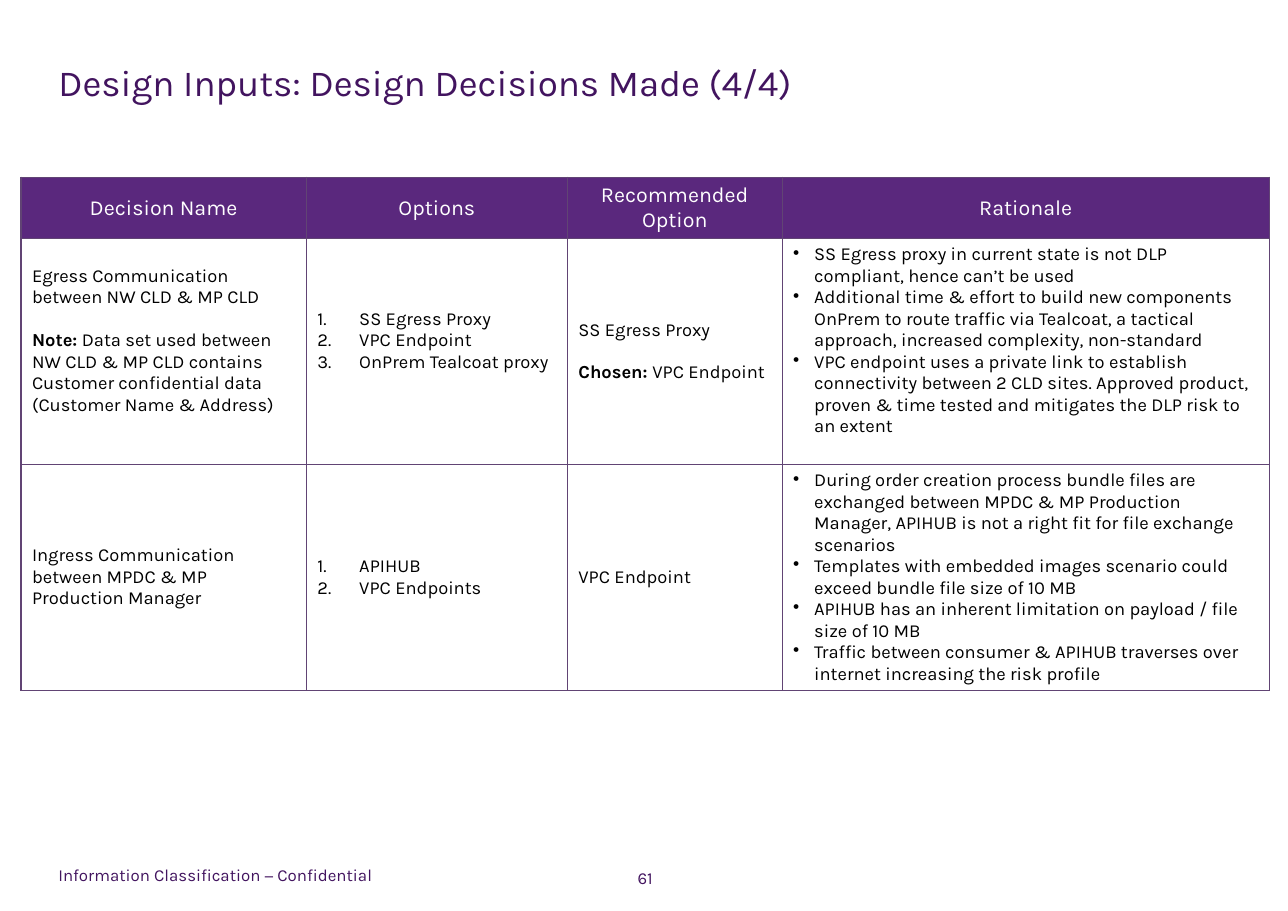
"""Build the design decisions slide with its table, footer and page number."""
from lxml import etree
from pptx import Presentation, util as u
from pptx.dml import color
from pptx.enum import text
from pptx.oxml import ns

COLORS = {"ink": "42145F", "head": "5A287D", "line": "614474",
          "body": "000000", "paper": "FFFFFF"}
MARKS = {"number": ("a:buAutoNum", "type", "arabicPeriod", 0.38),
         "bullet": ("a:buChar", "char", "•", 0.19)}
LEFT, CENTER = text.PP_ALIGN.LEFT, text.PP_ALIGN.CENTER
LINE = 14


class Deck:
    """Hold the style and the current slide; lengths are percent of the slide."""

    def __init__(self, width, height, font):
        self.prs = Presentation()
        self.prs.slide_width, self.prs.slide_height = u.Inches(width), u.Inches(height)
        self.font = font
        self.s = self.prs.slides.add_slide(self.prs.slide_layouts[5])

    def x(self, share):
        return round(self.prs.slide_width * share / 100)

    def y(self, share):
        return round(self.prs.slide_height * share / 100)

    def box(self, x, y, w, h):
        return self.x(x), self.y(y), self.x(w), self.y(h)

    def run(self, p, words, size, ink, bold=False):
        r = p.add_run()
        r.text = words
        r.font.name, r.font.size, r.font.bold = self.font, u.Pt(size), bold
        r.font.color.rgb = color.RGBColor.from_string(COLORS[ink])

    def frame(self, sp, words, size, anchor, align=LEFT, wrap=False):
        tf = sp.text_frame
        tf.margin_left = tf.margin_right = tf.margin_top = tf.margin_bottom = 0
        tf.auto_size = text.MSO_AUTO_SIZE.NONE
        tf.word_wrap, tf.vertical_anchor = wrap, anchor
        tf.paragraphs[0].alignment = align
        self.run(tf.paragraphs[0], words, size, "ink")

    def title(self, words, *place):
        sp = self.s.shapes.title
        sp.left, sp.top, sp.width, sp.height = self.box(*place)
        self.frame(sp, words, 24, text.MSO_ANCHOR.TOP)

    def label(self, words, *place, **layout):
        sp = self.s.shapes.add_textbox(*self.box(*place))
        self.frame(sp, words, 11, text.MSO_ANCHOR.MIDDLE, **layout)

    def mark(self, p, kind):
        tag, key, value, indent = MARKS[kind]
        pPr = p._p.get_or_add_pPr()
        pPr.set("marL", str(u.Inches(indent)))
        pPr.set("indent", str(-u.Inches(indent)))
        etree.SubElement(pPr, ns.qn(tag)).set(key, value)

    def borders(self, cell):
        tcPr = cell._tc.get_or_add_tcPr()
        for side in "LRTB":
            ln = etree.SubElement(tcPr, ns.qn(f"a:ln{side}"), w=str(u.Pt(1)))
            fill = etree.SubElement(ln, ns.qn("a:solidFill"))
            etree.SubElement(fill, ns.qn("a:srgbClr"), val=COLORS["line"])

    def cell(self, cell, paragraphs, kind=None, header=False, lift=0):
        self.borders(cell)
        cell.fill.solid()
        cell.fill.fore_color.rgb = color.RGBColor.from_string(
            COLORS["head" if header else "paper"])
        cell.vertical_anchor = text.MSO_ANCHOR.MIDDLE
        cell.margin_bottom = u.Inches(0.05) + u.Pt(lift)
        tf = cell.text_frame
        for i, runs in enumerate(paragraphs):
            p = tf.add_paragraph() if i else tf.paragraphs[0]
            p.alignment = CENTER if header else LEFT
            if kind:
                self.mark(p, kind)
            elif i:
                p.space_before = u.Pt(LINE)
            for words, bold in runs:
                self.run(p, words, 14 if header else 12,
                         "paper" if header else "body", bold)

    def table(self, x, y, cols, rows, content):
        place = self.box(x, y, sum(cols), sum(rows))
        t = self.s.shapes.add_table(len(rows), len(cols), *place).table
        t.first_row = t.horz_banding = False
        for col, w in zip(t.columns, cols):
            col.width = self.x(w)
        for i, (row, h) in enumerate(zip(t.rows, rows)):
            row.height = self.y(h)
            for cell, entry in zip(row.cells, content[i]):
                self.cell(cell, header=i == 0, **entry)


def entry(*paragraphs, kind=None, lift=0):
    """Describe a cell; a paragraph is plain words or a (bold, plain) pair."""
    runs = [[(p, False)] if isinstance(p, str) else [(p[0], True), (p[1], False)]
            for p in paragraphs]
    return {"paragraphs": runs, "kind": kind, "lift": lift}


DECISIONS = [
    [entry(name) for name in
     ("Decision Name", "Options", "Recommended Option", "Rationale")],
    [entry("Egress Communication between NW CLD & MP CLD",
           ("Note:", " Data set used between NW CLD & MP CLD contains Customer "
            "confidential data (Customer Name & Address)"), lift=LINE),
     entry("SS Egress Proxy", "VPC Endpoint", "OnPrem Tealcoat proxy",
           kind="number", lift=LINE),
     entry("SS Egress Proxy", ("Chosen: ", "VPC Endpoint")),
     entry("SS Egress proxy in current state is not DLP compliant, hence "
           "can’t be used",
           "Additional time & effort to build new components OnPrem to route "
           "traffic via Tealcoat, a tactical approach, increased complexity, "
           "non-standard",
           "VPC endpoint uses a private link to establish connectivity between "
           "2 CLD sites. Approved product, proven & time tested and mitigates "
           "the DLP risk to an extent", kind="bullet", lift=LINE)],
    [entry("Ingress Communication between MPDC & MP Production Manager"),
     entry("APIHUB", "VPC Endpoints", kind="number"),
     entry("VPC Endpoint"),
     entry("During order creation process bundle files are exchanged between "
           "MPDC & MP Production Manager, APIHUB is not a right fit for file "
           "exchange scenarios",
           "Templates with embedded images scenario could exceed bundle file "
           "size of 10 MB",
           "APIHUB has an inherent limitation on payload / file size of 10 MB",
           "Traffic between consumer & APIHUB traverses over internet "
           "increasing the risk profile", kind="bullet")],
]


def main():
    deck = Deck(11.69, 8.27, "Karla")
    deck.title("Design Inputs: Design Decisions Made (4/4)", 4.53, 6.53, 80.15, 7.13)
    deck.table(1.63, 19.47, [22.16, 20.27, 16.68, 37.81], [6.6, 24.8, 24.8], DECISIONS)
    deck.label("Information Classification − Confidential", 4.53, 94.2, 23.27, 3.63)
    deck.label("61", 47.31, 94.56, 5.56, 3.63, align=CENTER, wrap=True)
    deck.prs.save("out.pptx")


if __name__ == "__main__":
    main()
